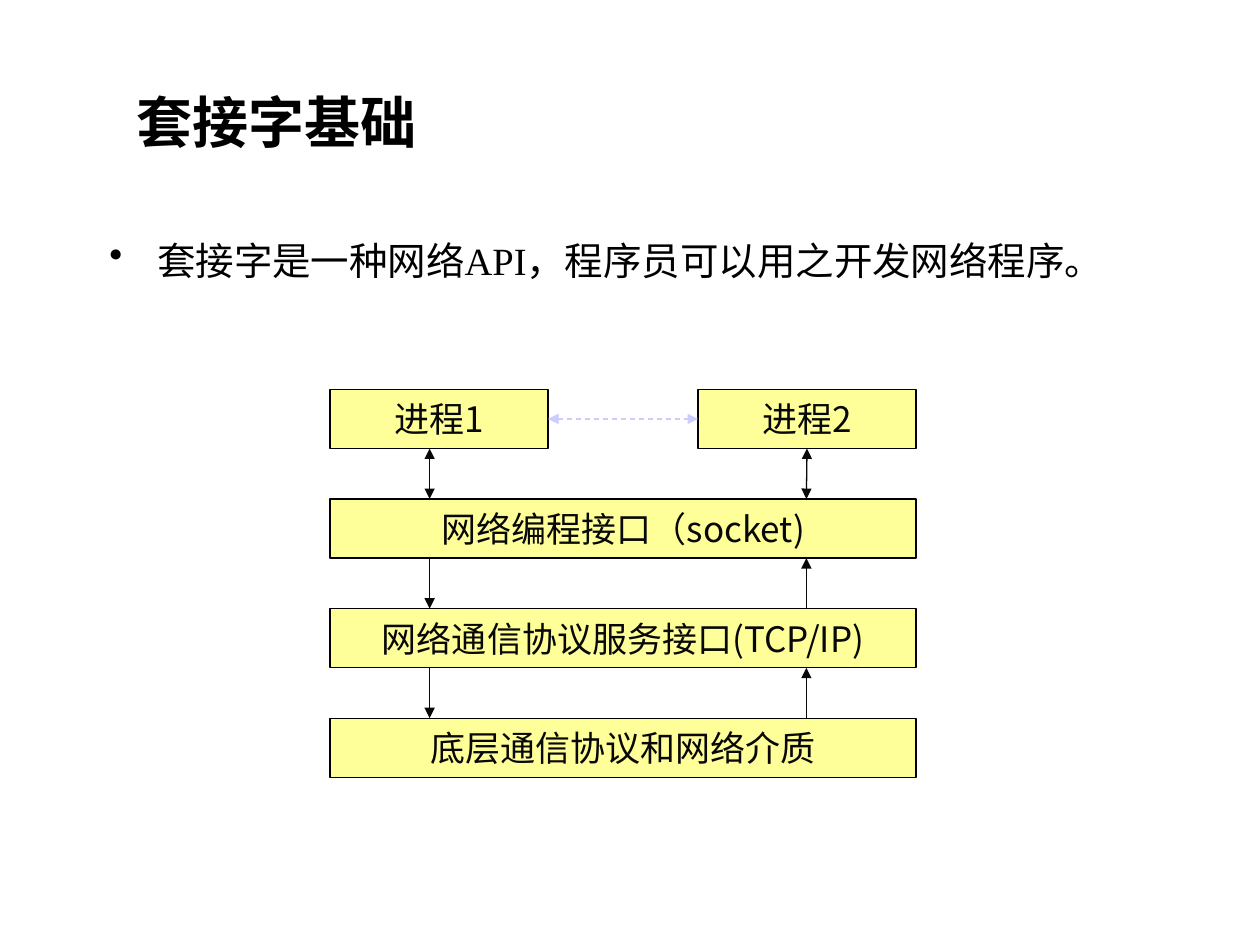
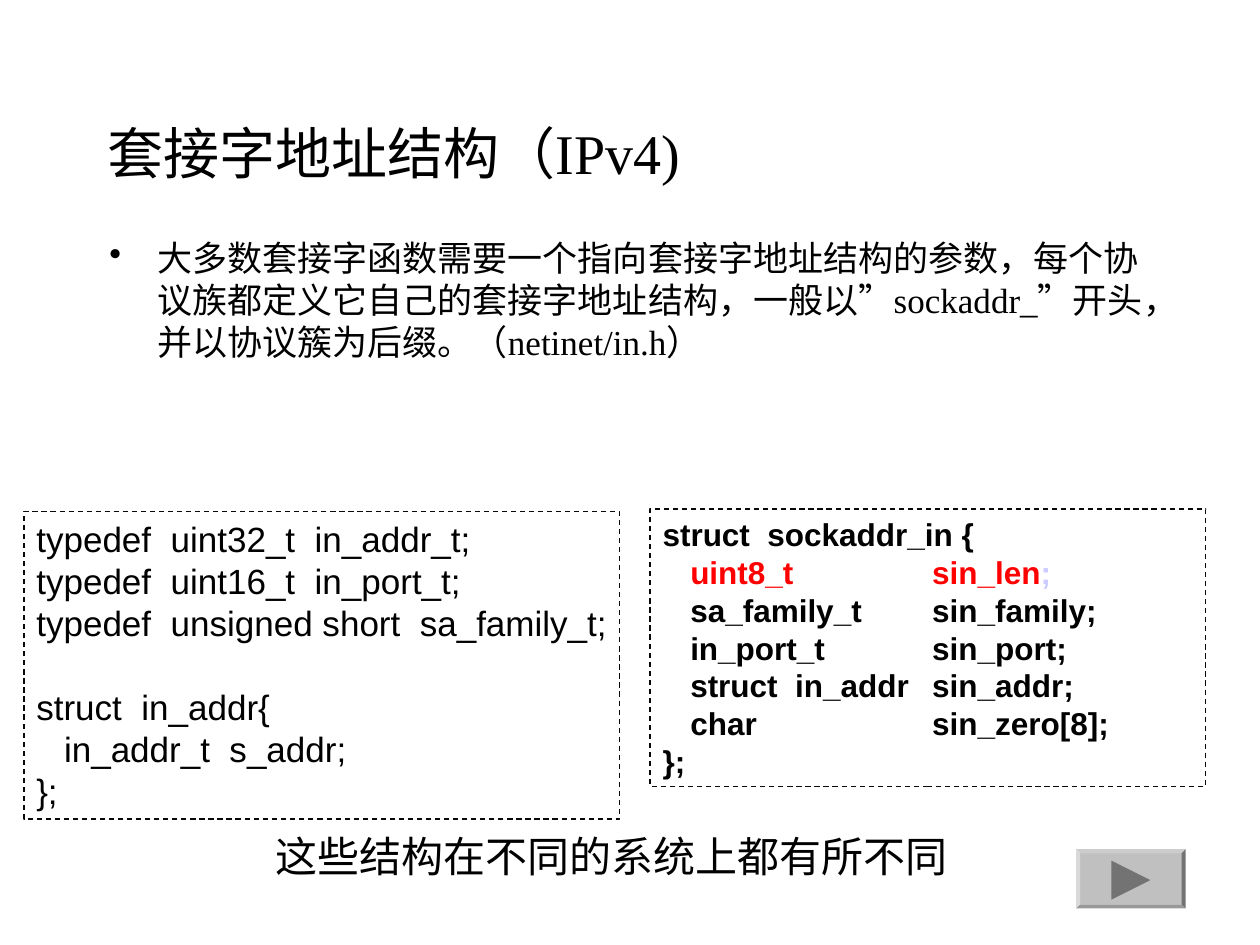
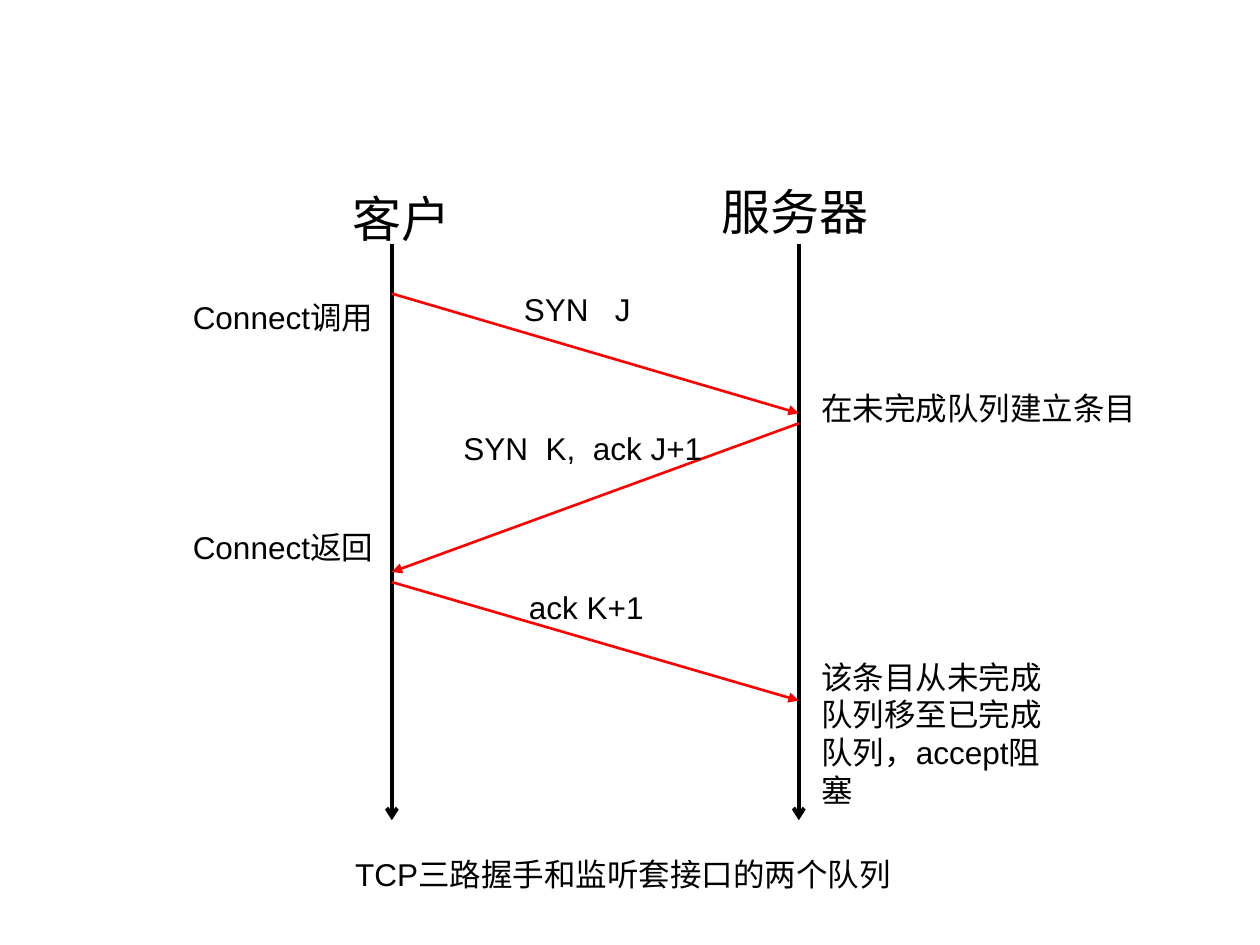
"""Build three slides about sockets: layers, address structures and the handshake."""
from lxml import etree
from pptx import Presentation
from pptx.dml.color import RGBColor
from pptx.enum.dml import MSO_LINE
from pptx.enum.shapes import MSO_CONNECTOR, MSO_SHAPE
from pptx.enum.text import MSO_ANCHOR, MSO_AUTO_SIZE, PP_ALIGN
from pptx.oxml.ns import qn
from pptx.util import Inches, Pt

RECT, BEVEL, ARROW = MSO_SHAPE.RECTANGLE, MSO_SHAPE.BEVEL, MSO_SHAPE.ISOSCELES_TRIANGLE
LEFT, MID, RIGHT = PP_ALIGN.LEFT, PP_ALIGN.CENTER, PP_ALIGN.RIGHT
STRAIGHT, DASH = MSO_CONNECTOR.STRAIGHT, MSO_LINE.DASH
TOP, CENTRE, FIXED = MSO_ANCHOR.TOP, MSO_ANCHOR.MIDDLE, MSO_AUTO_SIZE.NONE
SANS, SERIF, HAN = "Arial", "Times New Roman", "Noto Sans CJK JP"
BLACK, INK, RED, LILAC = "000000", "080808", "FF0000", "CCCCFF"
YELLOW, GREY, DARK = "FFFF99", "C0C0C0", "737373"
TITLE_ONLY, BLANK = 5, 6


def write(frame, lines, size, font=SANS, color=BLACK, bold=False, align=LEFT):
    """Fill a text frame with evenly styled lines."""
    frame.word_wrap = True
    frame.auto_size = FIXED
    frame.text = "\n".join(lines)
    for par in frame.paragraphs:
        par.alignment = align
        par.line_spacing = Pt(size * 1.2)
        par.font.size, par.font.name, par.font.bold = Pt(size), font, bold
        par.font.color.rgb = RGBColor.from_string(color)


def link(slide, start, end, color, width, head=None, tail=None):
    """Draw a straight line with optional arrowheads."""
    line = slide.shapes.add_connector(STRAIGHT, *[Inches(v) for v in (*start, *end)])
    line.line.color.rgb = RGBColor.from_string(color)
    line.line.width = Pt(width)
    for tag, kind in (("a:headEnd", head), ("a:tailEnd", tail)):
        if kind:
            etree.SubElement(line.line._get_or_add_ln(), qn(tag), type=kind)
    etree.SubElement(line._element.spPr, qn("a:effectLst"))
    return line


deck = Presentation()
deck.slide_width, deck.slide_height = Inches(10), Inches(7.5)
layers, structs, shake = [
    deck.slides.add_slide(deck.slide_layouts[n]) for n in (TITLE_ONLY, TITLE_ONLY, BLANK)
]

intro = "套接字是一种网络API，程序员可以用之开发网络程序。"
usage = ("大多数套接字函数需要一个指向套接字地址结构的参数，每个协议族都定义它自己的"
         "套接字地址结构，一般以”sockaddr_”开头，并以协议簇为后缀。（netinet/in.h）")
for slide, name, area, bold, point, size, tall in (
    (layers, "套接字基础", (0.98, 0.7, 8.52, 0.53), True, intro, 22, 1.24),
    (structs, "套接字地址结构（IPv4)", (0.75, 0.67, 8.5, 1.08), False, usage, 20, 1.84),
):
    title = slide.shapes.title
    title.left, title.top, title.width, title.height = [Inches(v) for v in area]
    write(title.text_frame, [name], 32, SERIF, bold=bold)
    title.text_frame.vertical_anchor = CENTRE
    body = slide.shapes.add_textbox(Inches(0.77), Inches(1.83), Inches(8.5), Inches(tall))
    write(body.text_frame, [point], size, SERIF)
    par = body.text_frame.paragraphs[0]
    par.space_before = Pt(size / 4)
    props = par._p.get_or_add_pPr()
    props.set("marL", str(Inches(0.38)))
    props.set("indent", str(-Inches(0.38)))
    etree.SubElement(props, qn("a:buChar"), char="•")

left, top, step, high = 2.62, 3.09, 0.87, 0.47
boxes = []
for label, x, row, wide in (
    ("进程1", left, 0, 1.73),
    ("进程2", 5.54, 0, 1.73),
    ("网络编程接口（socket)", left, 1, 4.65),
    ("网络通信协议服务接口(TCP/IP)", left, 2, 4.65),
    ("底层通信协议和网络介质", left, 3, 4.65),
):
    box = layers.shapes.add_shape(
        RECT, Inches(x), Inches(top + row * step), Inches(wide), Inches(high))
    box.shadow.inherit = False
    box.fill.solid()
    box.fill.fore_color.rgb = RGBColor.from_string(YELLOW)
    box.line.color.rgb = RGBColor.from_string(BLACK)
    box.line.width = Pt(0.75)
    write(box.text_frame, [label], 20, HAN, INK, align=MID)
    boxes.append(box)

peer = link(layers, (4.35, 3.33), (5.54, 3.33), LILAC, 0.75, "triangle", "triangle")
peer.line.dash_style = DASH
peer.begin_connect(boxes[0], 3)
peer.end_connect(boxes[1], 1)
for row in range(3):
    low = top + row * step + high
    both = "triangle" if row == 0 else None
    link(layers, (3.41, low), (3.41, top + (row + 1) * step), INK, 0.75, both, "triangle")
    rise = link(layers, (6.4, low), (6.4, top + (row + 1) * step), INK, 0.75, "triangle", both)
    if row == 0:
        rise.begin_connect(boxes[1], 2)

types = ["typedef  uint32_t  in_addr_t;", "typedef  uint16_t  in_port_t;",
         "typedef  unsigned short  sa_family_t;", "struct  in_addr{",
         "\tin_addr_t  s_addr;", "};"]
fields = ["struct  sockaddr_in {", "\tuint8_t\tsin_len", "\tsa_family_t\tsin_family;",
          "\tin_port_t\tsin_port;", "\tstruct  in_addr\tsin_addr;",
          "\tchar\tsin_zero[8];", "};"]
codes = []
for lines, area, size, bold in (
    (types, (0.19, 4.06, 4.73, 2.44), 20, False),
    (fields, (5.16, 4.04, 4.41, 2.2), 18, True),
):
    code = structs.shapes.add_shape(RECT, *[Inches(v) for v in area])
    code.shadow.inherit = False
    code.fill.background()
    code.line.color.rgb = RGBColor.from_string(INK)
    code.line.width, code.line.dash_style = Pt(0.75), DASH
    write(code.text_frame, lines, size, bold=bold)
    code.text_frame.vertical_anchor = TOP
    code.text_frame.margin_right = 0
    for par in code.text_frame.paragraphs:
        if par.text.startswith("\t"):
            tabs = etree.Element(qn("a:tabLst"))
            for stop in (0.22, 2.14):
                etree.SubElement(tabs, qn("a:tab"), pos=str(Inches(stop)), algn="l")
            par._p.get_or_add_pPr().find(qn("a:defRPr")).addprevious(tabs)
    codes.append(code.text_frame.paragraphs)
codes[0][3].space_before = Pt(24)
size_line = codes[1][1]
size_line.runs[0].font.color.rgb = RGBColor.from_string(RED)
end = size_line.add_run()
end.text = ";"
end.font.color.rgb = RGBColor.from_string(LILAC)

for kind, area, color in (
    (BEVEL, (8.54, 6.74, 0.87, 0.47), GREY),
    (ARROW, (8.82, 6.83, 0.31, 0.31), DARK),
):
    part = structs.shapes.add_shape(kind, *[Inches(v) for v in area])
    part.shadow.inherit = False
    part.fill.solid()
    part.fill.fore_color.rgb = RGBColor.from_string(color)
    part.line.fill.background()
    if kind == BEVEL:
        part.adjustments[0] = 0.07
    else:
        part.rotation = 90

client, server = 3.11, 6.34
for x in (client, server):
    link(shake, (x, 1.94), (x, 6.51), BLACK, 2.25, tail="arrow")
for start, end in (
    ((client, 2.33), (server, 3.28)),
    ((client, 4.62), (server, 5.56)),
    ((server, 3.36), (client, 4.54)),
):
    link(shake, start, end, RED, 1.5, tail="triangle")

for slide, text, area, size, align in (
    (structs, "这些结构在不同的系统上都有所不同", (2.09, 6.54, 5.7, 0.5), 24, LEFT),
    (shake, "客户", (2.7, 1.45, 1.1, 0.57), 28, LEFT),
    (shake, "服务器", (5.63, 1.39, 1.5, 0.57), 28, LEFT),
    (shake, "Connect调用", (0.9, 2.32, 2.16, 0.4), 18, RIGHT),
    (shake, "在未完成队列建立条目", (6.42, 3.04, 2.84, 0.4), 18, LEFT),
    (shake, "SYN   J", (4.06, 2.25, 2.16, 0.4), 18, LEFT),
    (shake, "SYN  K,  ack J+1", (3.58, 3.36, 2.16, 0.4), 18, LEFT),
    (shake, "ack K+1", (4.1, 4.62, 2.16, 0.4), 18, LEFT),
    (shake, "该条目从未完成队列移至已完成队列，accept阻塞", (6.42, 5.17, 2.16, 1.3), 18, LEFT),
    (shake, "Connect返回", (0.9, 4.14, 2.16, 0.4), 18, RIGHT),
    (shake, "TCP三路握手和监听套接口的两个队列", (2.72, 6.74, 5.43, 0.4), 18, LEFT),
):
    note = slide.shapes.add_textbox(*[Inches(v) for v in area])
    write(note.text_frame, [text], size, align=align)

deck.save("out.pptx")
